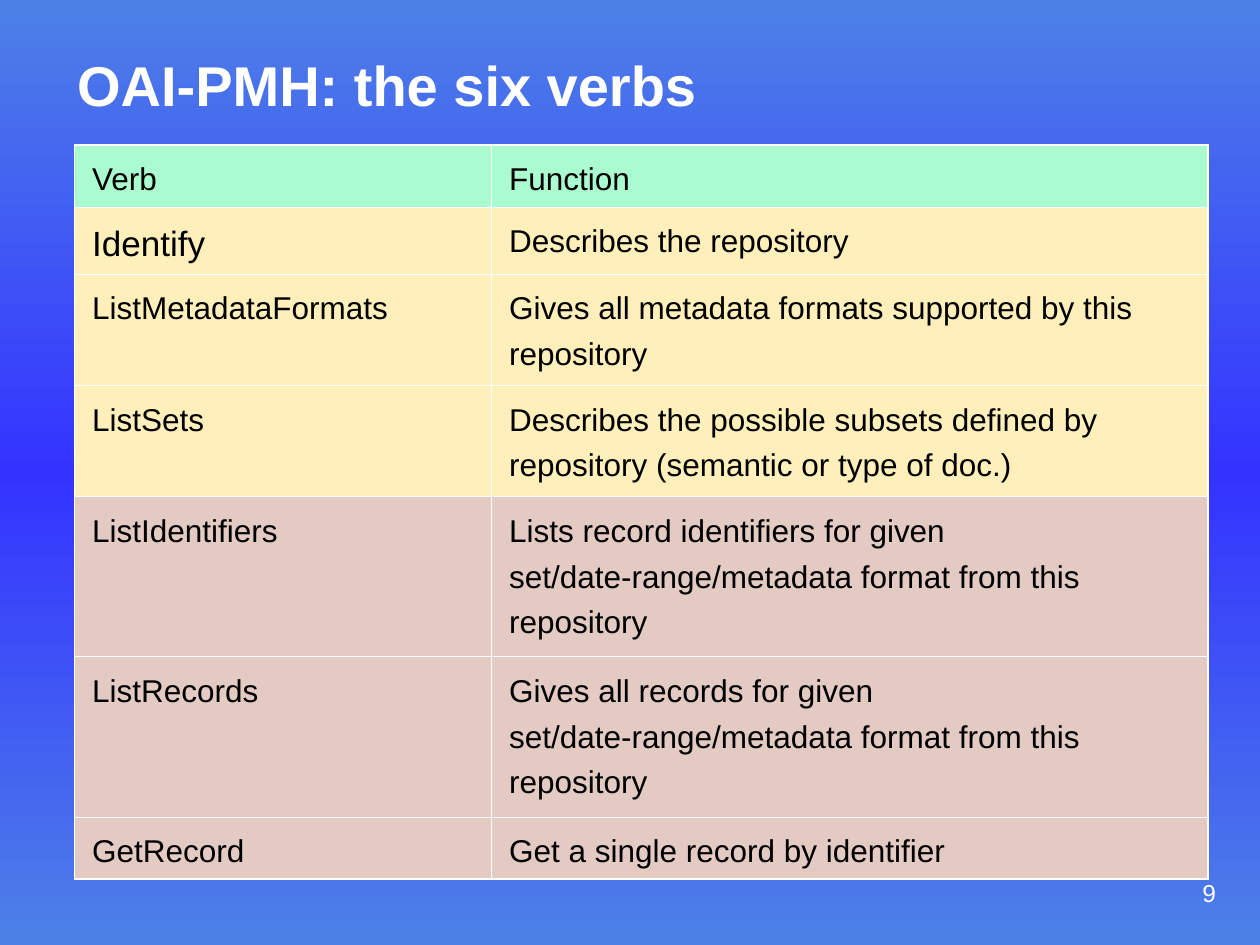
"""Build the slide that lists the six OAI-PMH verbs."""
from copy import deepcopy
from lxml.etree import SubElement as Sub
from pptx import Presentation
from pptx.dml.color import RGBColor as RGB
from pptx.enum.text import MSO_ANCHOR as Anchor, PP_ALIGN as Align
from pptx.oxml.ns import qn
from pptx.util import Pt

THEME = {
    "font": "Arial", "white": "FFFFFF", "black": "000000",
    "edge": "4D80E7", "mid": "3333FF",
    "head": "ABFBD1", "repo": "FFEFBB", "data": "E3CAC3",
    "title": 32, "body": 18, "big": 20, "page": 14, "thin": 0.45, "thick": 1.08,
}
TITLE = "OAI-PMH: the six verbs"
PAGE = "9"
ROWS = [
    ("head", 35.2, "Verb", "Function"),
    ("repo", 38.6, "Identify", "Describes the repository"),
    ("repo", 63.5, "ListMetadataFormats",
     "Gives all metadata formats supported by this repository"),
    ("repo", 63.5, "ListSets",
     "Describes the possible subsets defined by repository (semantic or type of doc.)"),
    ("data", 91.5, "ListIdentifiers",
     "Lists record identifiers for given set/date-range/metadata format from this repository"),
    ("data", 91.5, "ListRecords",
     "Gives all records for given set/date-range/metadata format from this repository"),
    ("data", 35.2, "GetRecord", "Get a single record by identifier"),
]
COLS = (238.3, 409.7)
BIG = {"Identify"}


def tint(name):
    return RGB.from_string(THEME[name])


def write(frame, text, size, color, bold=False, **form):
    para = frame.paragraphs[0]
    for key, val in form.items():
        setattr(para, key, val)
    run = para.add_run()
    run.text = text
    look = {"name": THEME["font"], "size": Pt(THEME[size]), "bold": bold}
    for key, val in look.items():
        setattr(run.font, key, val)
    run.font.color.rgb = tint(color)
    return para


def label(slide, box, text, size, anchor, **form):
    frame = slide.shapes.add_textbox(*map(Pt, box)).text_frame
    frame.word_wrap = True
    frame.vertical_anchor = anchor
    write(frame, text, size, "white", **form)


def paint(slide):
    fill = slide.background.fill
    fill.gradient()
    fill.gradient_angle = 270
    stops = fill.gradient_stops
    first = stops[0]._gs
    first.addnext(deepcopy(first))
    for stop, name, pos in zip(fill.gradient_stops, ("edge", "mid", "edge"), (0, 0.5, 1)):
        stop.color.rgb = tint(name)
        stop.position = pos


def edge(cell, sides):
    props = cell._tc.get_or_add_tcPr()
    for side, outer in sides.items():
        width = Pt(THEME["thick" if outer else "thin"])
        line = Sub(props, qn(f"a:ln{side}"), w=str(width))
        Sub(Sub(line, qn("a:solidFill")), qn("a:srgbClr"), val=THEME["white"])


def grid(slide):
    high = sum(row[1] for row in ROWS)
    box = (42.5, 83, sum(COLS), high)
    table = slide.shapes.add_table(len(ROWS), len(COLS), *map(Pt, box)).table
    for col, wide in zip(table.columns, COLS):
        col.width = Pt(wide)
    for r, (kind, tall, *texts) in enumerate(ROWS):
        table.rows[r].height = Pt(tall)
        for c, text in enumerate(texts):
            cell = table.cell(r, c)
            edge(cell, {"L": c == 0, "R": c == len(COLS) - 1,
                        "T": r == 0, "B": r == len(ROWS) - 1})
            cell.fill.solid()
            cell.fill.fore_color.rgb = tint(kind)
            size = "big" if text in BIG else "body"
            para = write(cell.text_frame, text, size, "black", line_spacing=1.3,
                         space_before=Pt(THEME[size] / 4))
            para._p.get_or_add_pPr().set("marL", str(Pt(3)))


def main():
    deck = Presentation()
    deck.slide_width, deck.slide_height = Pt(720), Pt(540)
    slide = deck.slides.add_slide(deck.slide_layouts[6])
    paint(slide)
    label(slide, (37, 25.5, 648, 29), TITLE, "title", Anchor.TOP, bold=True)
    grid(slide)
    label(slide, (552, 492, 150, 36), PAGE, "page", Anchor.MIDDLE, alignment=Align.RIGHT)
    deck.save("out.pptx")


if __name__ == "__main__":
    main()
